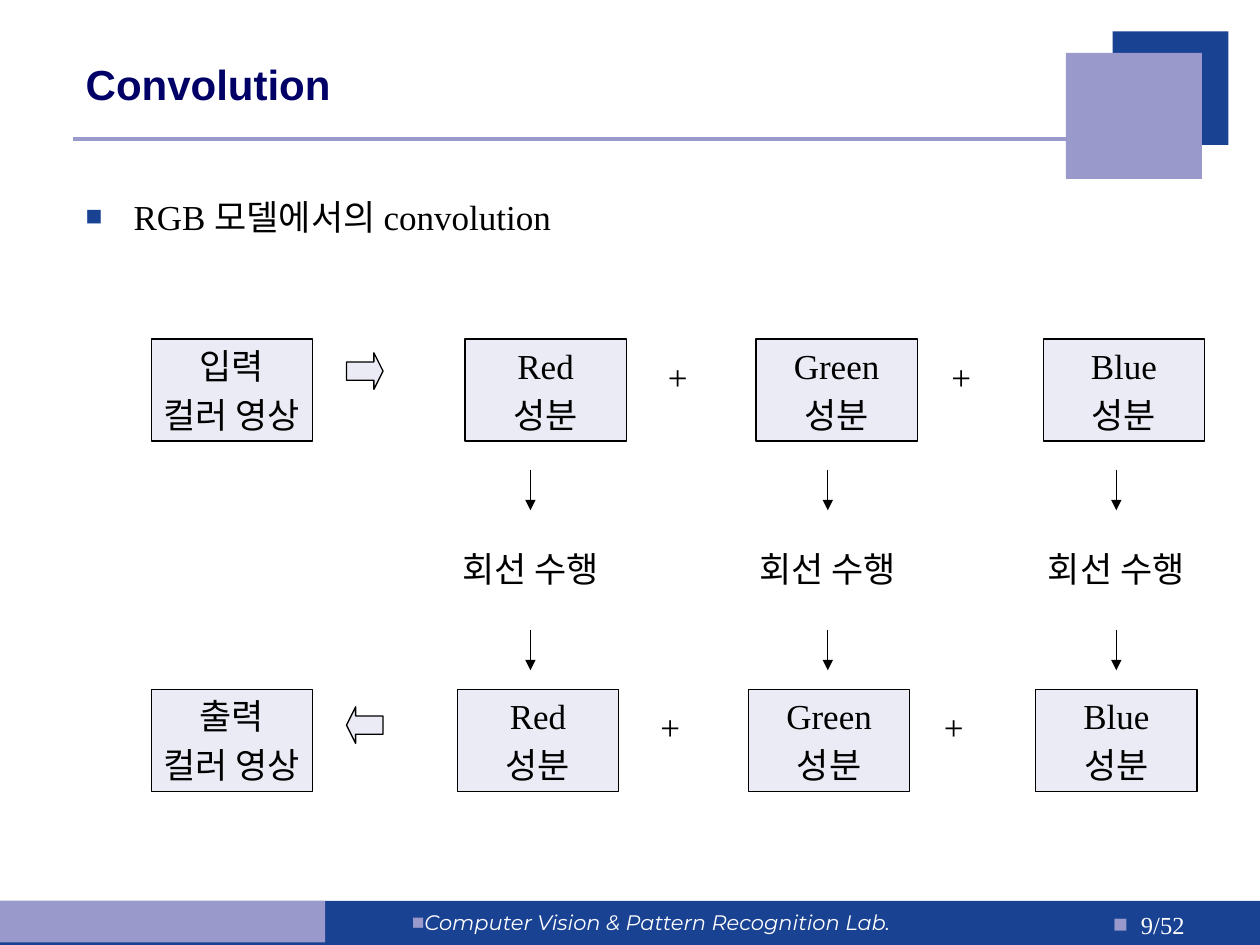
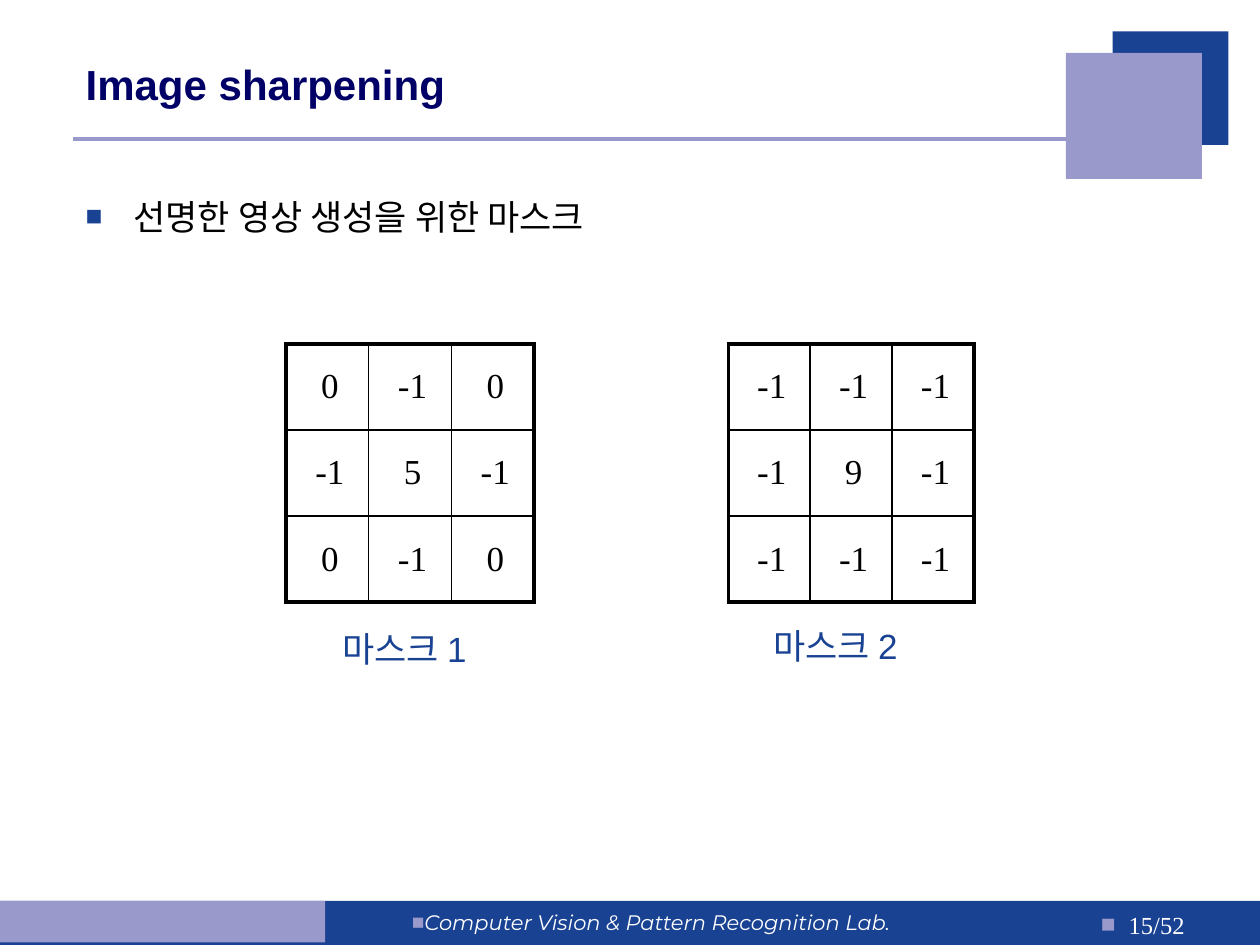
from lxml.etree import SubElement
from pptx import Presentation
from pptx.dml.color import RGBColor
from pptx.enum.shapes import MSO_CONNECTOR, MSO_SHAPE
from pptx.enum.text import MSO_ANCHOR, MSO_AUTO_SIZE, PP_ALIGN
from pptx.oxml.ns import qn
from pptx.util import Inches, Pt

# Colours and fonts
BLUE = RGBColor(0x19, 0x42, 0x93)
LILAC = RGBColor(0x99, 0x99, 0xCC)
PALE = RGBColor(0xEB, 0xEB, 0xF5)
NAVY = RGBColor(0x00, 0x00, 0x66)
BLACK = RGBColor(0x00, 0x00, 0x00)
WHITE = RGBColor(0xFF, 0xFF, 0xFF)
SERIF, SANS, LAB = "Times New Roman", "Arial", "Montserrat"


def place(shape, left, top, width, height):
    shape.left, shape.top = Inches(left), Inches(top)
    shape.width, shape.height = Inches(width), Inches(height)


class Deck:
    """Holds the style and the current slide."""

    def __init__(self):
        self.prs = Presentation()
        self.prs.slide_width = Inches(10)
        self.prs.slide_height = Inches(7.5)
        self.slide = None

    # Text
    def text(self, frame, lines, size=20, font=SERIF, color=BLACK,
             align=PP_ALIGN.LEFT, bold=False, italic=False):
        for i, line in enumerate(lines):
            para = frame.add_paragraph() if i else frame.paragraphs[0]
            para.alignment = align
            para.space_before = Pt(4 if i else 0)
            run = para.add_run()
            run.text = line
            face = run.font
            face.name, face.size = font, Pt(size)
            face.bold, face.italic = bold, italic
            face.color.rgb = color

    def bullet(self, para, color, size, indent):
        props = para._p.get_or_add_pPr()
        props.set("marL", str(Inches(indent)))
        props.set("indent", str(-Inches(indent)))
        tint = SubElement(props, qn("a:buClr"))
        SubElement(tint, qn("a:srgbClr"), val=str(color))
        SubElement(props, qn("a:buSzPct"), val=str(size * 1000))
        SubElement(props, qn("a:buFont"), typeface=SANS)
        SubElement(props, qn("a:buChar"), char="■")

    def label(self, text, left, top, width, height=0.43, wrap=False, **style):
        box = self.slide.shapes.add_textbox(
            Inches(left), Inches(top), Inches(width), Inches(height))
        frame = box.text_frame
        frame.word_wrap = wrap
        if not wrap:
            frame.auto_size = MSO_AUTO_SIZE.SHAPE_TO_FIT_TEXT
        self.text(frame, [text], **style)
        return frame.paragraphs[0]

    # Shapes and lines
    def shape(self, kind, left, top, width, height, fill, edge=None):
        item = self.slide.shapes.add_shape(
            kind, Inches(left), Inches(top), Inches(width), Inches(height))
        item.shadow.inherit = False
        item.fill.solid()
        item.fill.fore_color.rgb = fill
        if edge is None:
            item.line.fill.background()
        else:
            item.line.color.rgb = edge
            item.line.width = Pt(0.75)
        return item

    def box(self, lines, left, top):
        item = self.shape(MSO_SHAPE.RECTANGLE, left, top, 1.28, 0.81, PALE, BLACK)
        frame = item.text_frame
        frame.word_wrap = False
        frame.vertical_anchor = MSO_ANCHOR.MIDDLE
        self.text(frame, lines, align=PP_ALIGN.CENTER)

    def arrow(self, kind, left, top):
        item = self.shape(kind, left, top, 0.29, 0.29, PALE, BLACK)
        item.adjustments[0], item.adjustments[1] = 0.5, 0.25

    def line(self, x1, y1, x2, y2, color=BLACK, width=0.75, head=False):
        item = self.slide.shapes.add_connector(
            MSO_CONNECTOR.STRAIGHT, Inches(x1), Inches(y1), Inches(x2), Inches(y2))
        item.line.color.rgb = color
        item.line.width = Pt(width)
        props = item._element.spPr
        if head:
            SubElement(props.find(qn("a:ln")), qn("a:tailEnd"), type="triangle")
        SubElement(props, qn("a:effectLst"))

    # Tables
    def border(self, cell, sides):
        props = cell._tc.get_or_add_tcPr()
        for side, thick in sides.items():
            edge = SubElement(props, qn("a:ln" + side), w=str(Pt(2.25 if thick else 1)))
            fill = SubElement(edge, qn("a:solidFill"))
            SubElement(fill, qn("a:srgbClr"), val=str(BLACK))

    def mask(self, rows, left, top, width, height):
        count = len(rows)
        table = self.slide.shapes.add_table(
            count, count, Inches(left), Inches(top), Inches(width), Inches(height)).table
        table.first_row = table.horz_banding = False
        last = count - 1
        for r, row in enumerate(rows):
            for c, value in enumerate(row):
                cell = table.cell(r, c)
                self.border(cell, {"L": c == 0, "R": c == last,
                                   "T": r == 0, "B": r == last})
                cell.fill.background()
                cell.vertical_anchor = MSO_ANCHOR.MIDDLE
                cell.margin_left = cell.margin_top = cell.margin_bottom = Inches(0.14)
                cell.margin_right = Inches(0.1)
                self.text(cell.text_frame, [str(value)], align=PP_ALIGN.CENTER)

    # Shared frame of each slide
    def start(self, title, point, page):
        self.slide = self.prs.slides.add_slide(self.prs.slide_layouts[1])
        head, body = self.slide.placeholders
        place(head, 0.58, 0.25, 7.67, 0.83)
        head.text_frame.vertical_anchor = MSO_ANCHOR.MIDDLE
        self.text(head.text_frame, [title], 24, SANS, NAVY, bold=True)
        place(body, 0.58, 1.5, 8.92, 5.25)
        self.bullet(body.text_frame.paragraphs[0], BLUE, 80, 0.38)
        self.text(body.text_frame, [point])

        self.line(0.58, 1.1, 8.5, 1.1, LILAC, 2.25)
        for left, top, width, height, fill in (
                (0, 7.15, 10, 0.35, BLUE), (0, 7.15, 2.58, 0.33, LILAC),
                (8.83, 0.25, 0.92, 0.9, BLUE), (8.46, 0.42, 1.08, 1, LILAC)):
            self.shape(MSO_SHAPE.RECTANGLE, left, top, width, height, fill)

        para = self.label("Computer Vision & Pattern Recognition Lab.", 3.17, 7.17,
                          4.58, 0.33, True, size=12, font=LAB, color=WHITE, italic=True)
        self.bullet(para, LILAC, 100, 0)
        para = self.label(f"{page}/52", 7.92, 7.17, 1.58, 0.33, True, size=14,
                          color=WHITE, align=PP_ALIGN.RIGHT)
        self.bullet(para, LILAC, 100, 0.22)


def flow(deck):
    deck.start("Convolution", "RGB 모델에서의 convolution", 9)
    # Input and output rows
    for name, top, shift, kind, tip in (
            ("입력", 2.69, 0, MSO_SHAPE.RIGHT_ARROW, 2.8),
            ("출력", 5.47, -0.06, MSO_SHAPE.LEFT_ARROW, 5.61)):
        deck.box([name, "컬러 영상"], 1.2, top)
        deck.arrow(kind, 2.75, tip)
        for part, left in (("Red", 3.69), ("Green", 6), ("Blue", 8.28)):
            deck.box([part, "성분"], left + shift, top)
        for left in (5.2, 7.45):
            deck.label("+", left + shift, top + 0.08, 0.36, align=PP_ALIGN.CENTER)
    # Steps between the rows
    for mid in (4.21, 6.57, 8.86):
        for top in (3.73, 5):
            deck.line(mid, top, mid, top + 0.32, head=True)
        deck.label("회선 수행", mid - 0.69, 4.3, 1.38, align=PP_ALIGN.CENTER)


def masks(deck):
    deck.start("Image sharpening", "선명한 영상 생성을 위한 마스크", 15)
    deck.mask([[0, -1, 0], [-1, 5, -1], [0, -1, 0]], 2.27, 2.73, 1.97, 2.05)
    deck.mask([[-1, -1, -1], [-1, 9, -1], [-1, -1, -1]], 5.78, 2.73, 1.95, 2.05)
    for text, left, top in (("마스크 1", 2.62, 4.93), ("마스크 2", 6.04, 4.91)):
        deck.label(text, left, top, 1.3, font=SANS, color=BLUE)


def main():
    deck = Deck()
    flow(deck)
    masks(deck)
    deck.prs.save("out.pptx")


if __name__ == "__main__":
    main()
